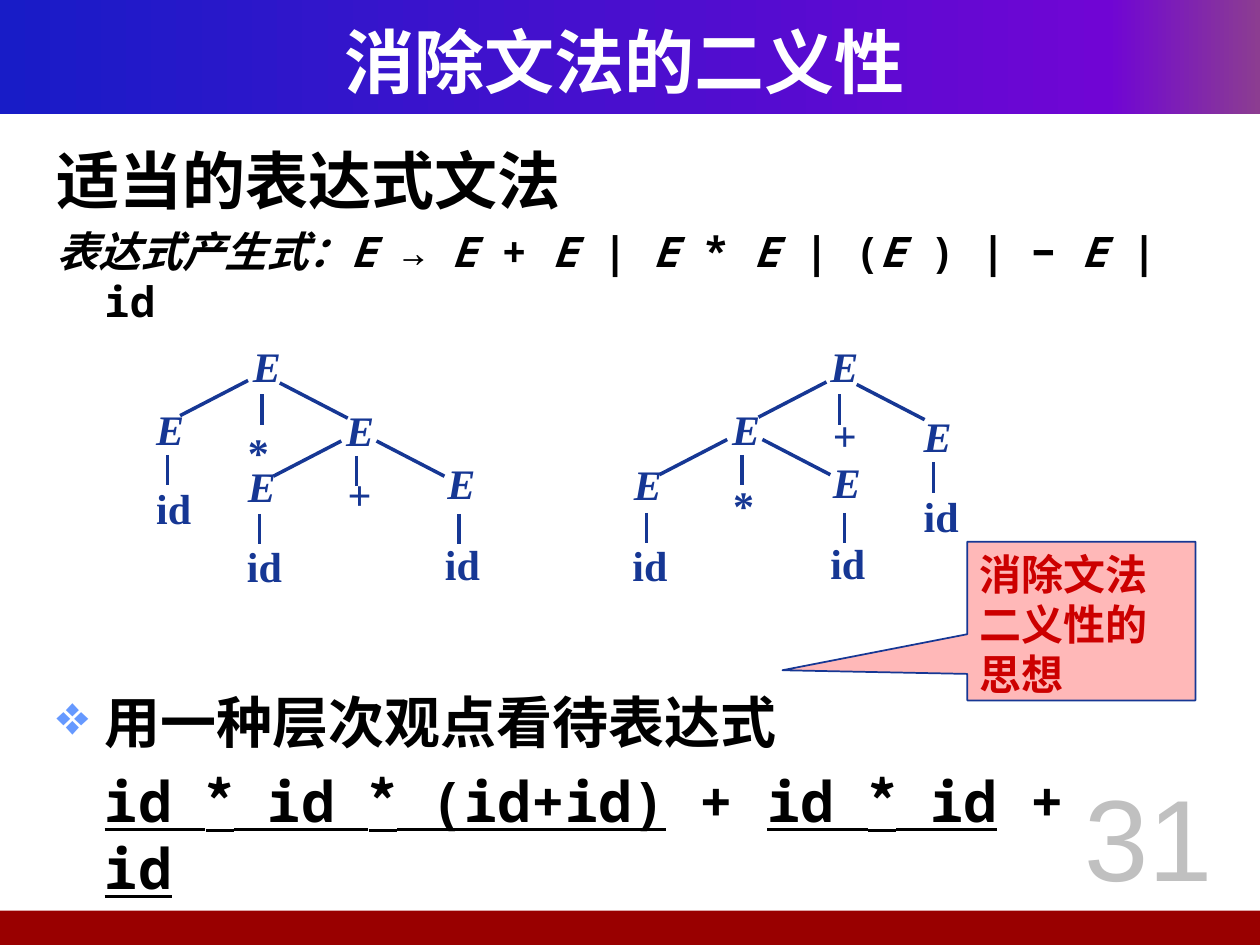
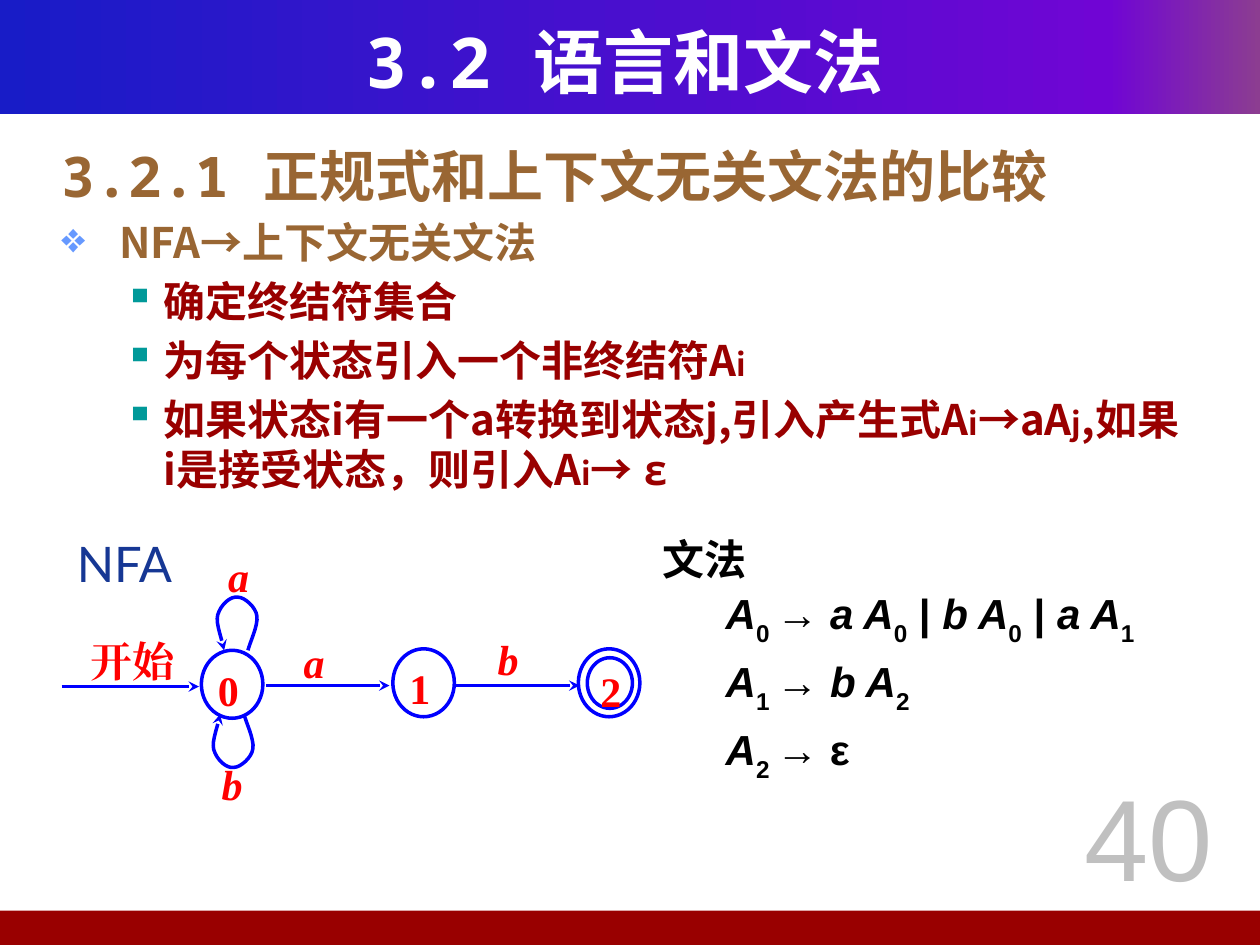
"""Builds two lecture slides on grammar ambiguity and on turning an NFA into a grammar."""
from copy import deepcopy
from itertools import cycle

from lxml import etree
from pptx import Presentation
from pptx.dml.color import RGBColor
from pptx.enum.shapes import MSO_CONNECTOR, MSO_SHAPE
from pptx.enum.text import MSO_ANCHOR, PP_ALIGN
from pptx.oxml.ns import qn
from pptx.util import Cm, Pt

STRAIGHT = MSO_CONNECTOR.STRAIGHT
RECTANGLE = MSO_SHAPE.RECTANGLE
OVAL = MSO_SHAPE.OVAL
CALLOUT = MSO_SHAPE.RECTANGULAR_CALLOUT
TOP, MIDDLE = MSO_ANCHOR.TOP, MSO_ANCHOR.MIDDLE
CENTER, LEFT = PP_ALIGN.CENTER, PP_ALIGN.LEFT

COLORS = {
    "white": "FFFFFF", "black": "000000", "navy": "163794", "blue": "0000FF",
    "red": "FF0000", "maroon": "990000", "brown": "996633", "grey": "C0C0C0",
    "bullet": "6699FF", "teal": "009999", "pink": "FFB8B8", "crimson": "CC0000",
    "band start": "181CC7", "band middle": "7005D4", "band end": "8C3D91",
}
MONO, CJK, SERIF, SANS, LATO = (
    "Noto Sans Mono", "Noto Sans CJK SC", "Times New Roman", "Arial", "Lato")
WIDE = (0.25, 0.13, 0.25, 0.13)
TIGHT = (0.05, 0.03, 0.05, 0.03)
SNUG = (0.15, 0.08, 0.15, 0.08)


def write(shape, paragraphs, insets=WIDE, anchor=TOP):
    """Fill a shape with paragraphs, each a dict of settings and styled runs."""
    frame = shape.text_frame
    frame.word_wrap = True
    frame.vertical_anchor = anchor
    frame.margin_left, frame.margin_top, frame.margin_right, frame.margin_bottom = map(Cm, insets)
    for number, settings in enumerate(paragraphs):
        para = frame.add_paragraph() if number else frame.paragraphs[0]
        para.alignment = settings.get("align", LEFT)
        para.space_before = Pt(settings.get("before", 0))
        para.space_after = Pt(settings.get("after", 0))
        properties = para._p.get_or_add_pPr()
        properties.set("marL", str(Cm(settings.get("left", 0))))
        properties.set("indent", str(-Cm(settings.get("hang", 0))))
        if "bullet" in settings:
            mark, color = settings["bullet"]
            holder = etree.SubElement(properties, qn("a:buClr"))
            etree.SubElement(holder, qn("a:srgbClr"), val=COLORS[color])
            etree.SubElement(properties, qn("a:buChar"), char=mark)
        for text, style, *changes in settings["runs"]:
            look = {**settings, **(changes[0] if changes else {})}
            span = para.add_run()
            span.text = text
            span.font.name = look["font"]
            span.font.size = Pt(look["size"])
            span.font.color.rgb = RGBColor.from_string(COLORS[look["color"]])
            span.font.bold = "b" in style
            span.font.italic = "i" in style
            span.font.underline = "u" in style
            run_properties = span._r.get_or_add_rPr()
            if "s" in style:
                run_properties.set("baseline", "-30000")
            etree.SubElement(run_properties, qn("a:ea"), typeface=look["font"])


def outline(item, color, width=2, arrow=False):
    """Give a shape or connector a plain line, with an arrowhead if asked."""
    item.line.color.rgb = RGBColor.from_string(COLORS[color])
    item.line.width = Pt(width)
    properties = item._element.spPr
    if arrow:
        etree.SubElement(properties.find(qn("a:ln")), qn("a:tailEnd"), type="stealth")
    etree.SubElement(properties, qn("a:effectLst"))


deck = Presentation()
deck.slide_width, deck.slide_height = Cm(25.4), Cm(19.05)

titles = [
    ("31", [("消除文法的二义性", "b")]),
    ("40", [("3.2 ", "b"), ("语言和文法", "b", {"font": CJK})]),
]
for page_number, title_runs in titles:
    page = deck.slides.add_slide(deck.slide_layouts[6])
    header = page.shapes.add_shape(RECTANGLE, 0, 0, Cm(25.4), Cm(2.31))
    header.fill.gradient()
    header.fill.gradient_angle = 0
    stop_list = header._element.spPr.find(".//" + qn("a:gsLst"))
    stop_list.insert(1, deepcopy(stop_list[0]))
    band_stops = zip(header.fill.gradient_stops, (0, 0.88, 1), ("start", "middle", "end"))
    for stop, position, name in band_stops:
        stop.position = position
        stop.color.rgb = RGBColor.from_string(COLORS["band " + name])
    footer = page.shapes.add_shape(RECTANGLE, Cm(-0.1), Cm(18.36), Cm(25.5), Cm(0.69))
    footer.fill.solid()
    footer.fill.fore_color.rgb = RGBColor.from_string(COLORS["maroon"])
    for band in (header, footer):
        band.line.fill.background()
        band.shadow.inherit = False
    title = page.shapes.add_textbox(Cm(0.84), Cm(0.43), Cm(23.5), Cm(1.57))
    write(title, [{"runs": title_runs, "font": MONO, "size": 40, "color": "white",
                   "align": CENTER}], anchor=MIDDLE)
    number_box = page.shapes.add_textbox(Cm(20.9), Cm(15.32), Cm(4.5), Cm(3.61))
    write(number_box, [{"runs": [(page_number, "")], "font": SANS, "size": 66,
                        "color": "grey", "align": CENTER}])

trees_page, automaton_page = deck.slides

mono = {"font": MONO, "color": "black", "left": 0.97, "hang": 0.97}
production = ["表达式产生式：E ", "→ ", "E ", "+", " E ", "| ", "E ", "* ", "E",
              " | (", "E", " ) | − ", "E", " | id"]
intro = trees_page.shapes.add_textbox(Cm(0.89), Cm(2.72), Cm(22.81), Cm(3.9))
write(intro, [
    {**mono, "size": 36, "runs": [("适当的表达式文法", "b")]},
    {**mono, "size": 24, "before": 4.8, "runs": list(zip(production, cycle(("bi", "b"))))},
])
star = ("*", "bu", {"font": CJK})
layers = trees_page.shapes.add_textbox(Cm(0.89), Cm(13.74), Cm(22.81), Cm(4.5))
write(layers, [
    {**mono, "size": 32, "bullet": ("❖", "bullet"), "runs": [("用一种层次观点看待表达式", "b")]},
    {**mono, "size": 32, "before": 6.4, "hang": 0, "runs": [
        ("id ", "bu"), star, (" id ", "bu"), star, (" (id+id)", "bu"), (" + ", "b"),
        ("id ", "bu"), star, (" id", "bu"), (" + ", "b"), ("id", "bu")]},
])

tree_labels = {
    "E": [(5.05, 6.83), (3.1, 8.1), (6.93, 8.13), (4.95, 9.25), (8.97, 9.19),
          (16.69, 6.83), (18.57, 8.25), (14.71, 8.1), (12.73, 9.22), (16.74, 9.17)],
    "id": [(3.1, 9.7), (4.93, 10.87), (8.92, 10.82),
           (18.57, 9.85), (12.7, 10.85), (16.69, 10.8)],
    "*": [(4.95, 8.56), (14.73, 9.63)],
    "+": [(6.96, 9.42), (16.74, 8.23)],
}
for label, places in tree_labels.items():
    for x, y in places:
        node = trees_page.shapes.add_textbox(Cm(x), Cm(y), Cm(0.94), Cm(1.07))
        write(node, [{"runs": [(label, "bi" if label == "E" else "b")], "font": SERIF,
                      "size": 24, "color": "navy"}], TIGHT)

branches = {
    (-1.37, 0.71): [(5.0, 7.67), (6.88, 8.89), (16.66, 7.7), (14.66, 8.86)],
    (1.37, 0.71): [(5.64, 7.72), (7.59, 8.89), (17.27, 7.75), (15.37, 8.86)],
    (0, 0.61): [(5.28, 7.95), (7.19, 9.19), (5.23, 10.36), (9.25, 10.36), (3.38, 9.17),
                (16.92, 7.95), (18.82, 9.32), (14.96, 9.17), (13.03, 10.34), (17.02, 10.34)],
}
for (across, down), starts in branches.items():
    for x, y in starts:
        branch = trees_page.shapes.add_connector(
            STRAIGHT, Cm(x), Cm(y), Cm(x + across), Cm(y + down))
        outline(branch, "navy")

callout = trees_page.shapes.add_shape(CALLOUT, Cm(19.5), Cm(10.92), Cm(4.6), Cm(3.2))
callout.adjustments[0], callout.adjustments[1] = -1.31, 0.31
callout.fill.solid()
callout.fill.fore_color.rgb = RGBColor.from_string(COLORS["pink"])
outline(callout, "navy", 1)
write(callout, [{"runs": [("消除文法二义性的思想", "b")], "font": LATO, "size": 24,
                 "color": "crimson"}])

step = {"font": CJK, "size": 24, "color": "maroon", "before": 4.8, "left": 2.06,
        "hang": 0.79, "bullet": ("▪", "teal")}
small = {"size": 18}
body = automaton_page.shapes.add_textbox(Cm(0.99), Cm(2.72), Cm(23.06), Cm(7.09))
write(body, [
    {"font": MONO, "size": 32, "color": "brown", "left": 0.97, "hang": 0.97,
     "runs": [("3.2.1 正规式和上下文无关文法的比较", "b")]},
    {"font": CJK, "size": 24, "color": "brown", "before": 4.8, "left": 0.97, "hang": 0.97,
     "bullet": ("❖", "bullet"), "runs": [(" NFA→上下文无关文法", "b")]},
    {**step, "runs": [("确定终结符集合", "b")]},
    {**step, "runs": [("为每个状态引入一个非终结符A", "b"), ("i", "b", small)]},
    {**step, "runs": [
        ("如果状态i有一个a转换到状态j,引入产生式A", "b"), ("i", "b", small),
        ("→aA", "b"), ("j", "b", small), (",如果i是接受状态，则引入A", "b"),
        ("i", "b", small), ("→ ", "b"), ("ε", "b", {"font": MONO})]},
])

rule = {"font": SANS, "size": 24, "color": "black", "left": 1.27, "before": 2.4, "after": 2.4}
grammar = automaton_page.shapes.add_textbox(Cm(13.11), Cm(10.62), Cm(11.4), Cm(4.88))
write(grammar, [
    {"font": LATO, "size": 24, "color": "black", "runs": [("文法", "b")]},
    {**rule, "runs": [
        ("A", "bi"), ("0 ", "bs"), ("→ ", "b"), ("a A", "bi"), ("0", "bs"), (" | ", "b"),
        ("b A", "bi"), ("0", "bs"), (" | ", "b"), ("a A", "bi"), ("1", "bs")]},
    {**rule, "runs": [("A", "bi"), ("1 ", "bs"), ("→ ", "b"), ("b A", "bi"), ("2", "bs")]},
    {**rule, "runs": [("A", "bi"), ("2 ", "bs"), ("→ ε", "b")]},
])
caption = automaton_page.shapes.add_textbox(Cm(1.3), Cm(10.62), Cm(3.81), Cm(1.45))
write(caption, [{"runs": [("NFA", "")], "font": LATO, "size": 28, "color": "navy"}])

states = [
    ("0", 4.06, 13.11, 1.24, 1.37, (0.15, 0.08, 0.05, 0.13)),
    ("1", 7.92, 13.08, 1.24, 1.37, (0.15, 0.08, 0.05, 0.13)),
    ("", 11.66, 13.08, 1.24, 1.37, TIGHT),
    ("2", 11.84, 13.26, 0.91, 1.02, (0.13, 0, 0.03, 0)),
]
for name, x, y, width, height, insets in states:
    state = automaton_page.shapes.add_shape(OVAL, Cm(x), Cm(y), Cm(width), Cm(height))
    state.fill.background()
    outline(state, "blue")
    if name:
        write(state, [{"runs": [(name, "b")], "font": SERIF, "size": 24, "color": "red"}], insets)

for start, end, y in [(1.24, 4.01, 13.84), (5.36, 7.85, 13.82), (9.19, 11.68, 13.82)]:
    arrow = automaton_page.shapes.add_connector(STRAIGHT, Cm(start), Cm(y), Cm(end), Cm(y))
    outline(arrow, "blue", arrow=True)

loop_points = [
    (5.0, 13.11), (5.03, 12.98), (5.21, 12.6), (5.18, 12.42), (5.16, 12.24),
    (4.93, 12.04), (4.8, 12.04), (4.65, 12.01), (4.45, 12.19), (4.39, 12.4),
    (4.34, 12.57), (4.5, 12.95), (4.52, 13.11),
]
curve = [loop_points[0]]
for first in range(0, 12, 3):
    corners = loop_points[first:first + 4]
    for tick in range(1, 9):
        t = tick / 8
        weights = ((1 - t) ** 3, 3 * t * (1 - t) ** 2, 3 * t * t * (1 - t), t ** 3)
        curve.append(tuple(sum(w * corner[axis] for w, corner in zip(weights, corners))
                           for axis in (0, 1)))
upper_loop = [(Cm(x), Cm(y)) for x, y in curve]
lower_loop = [(Cm(x - 0.08), Cm(27.51 - y)) for x, y in curve]
for points in (upper_loop, lower_loop):
    builder = automaton_page.shapes.build_freeform(*points[0])
    builder.add_line_segments(points[1:], close=False)
    loop = builder.convert_to_shape()
    loop.fill.background()
    outline(loop, "blue", arrow=True)

edge_labels = [
    ("开始", "b", 1.68, 12.73, 2.01), ("a", "bi", 5.97, 12.75, 1.0),
    ("a", "bi", 4.45, 11.02, 1.0), ("b", "bi", 4.32, 15.21, 1.0), ("b", "bi", 9.88, 12.7, 1.0),
]
for label, style, x, y, width in edge_labels:
    edge_label = automaton_page.shapes.add_textbox(Cm(x), Cm(y), Cm(width), Cm(1.2))
    write(edge_label, [{"runs": [(label, style)], "font": SERIF, "size": 24,
                        "color": "red"}], SNUG)

deck.save("out.pptx")
